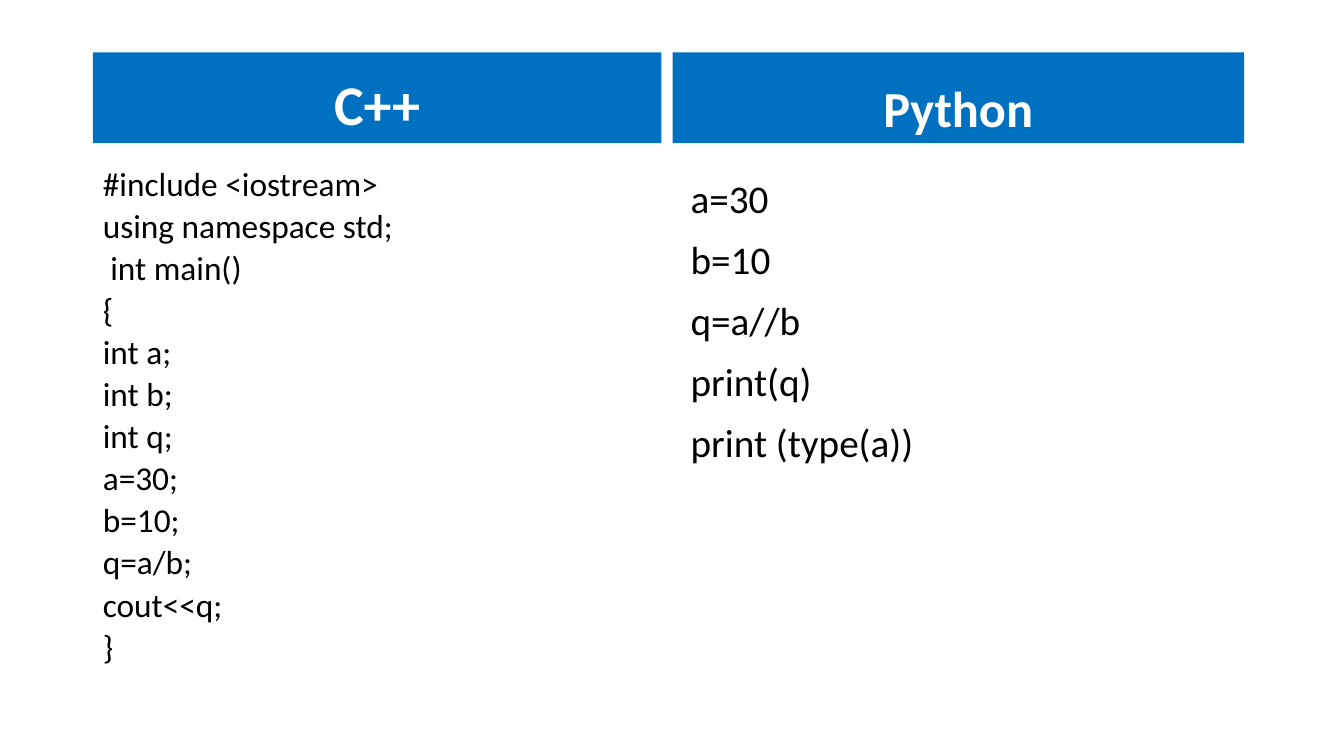
from lxml.etree import SubElement
from pptx import Presentation
from pptx.dml.color import RGBColor
from pptx.enum.text import MSO_ANCHOR, MSO_AUTO_SIZE, PP_ALIGN
from pptx.oxml.ns import qn
from pptx.util import Inches, Pt

HEADER_TOP, HEADER_HEIGHT = 0.52, 0.9
CODE_TOP, CODE_HEIGHT = 1.68, 5.09

CPP_CODE = [
    "#include <iostream>",
    "using namespace std;",
    " int main()",
    "{",
    "int a;",
    "int b;",
    "int q;",
    "a=30;",
    "b=10;",
    "q=a/b;",
    "cout<<q;",
    "}",
]
PYTHON_CODE = ["a=30", "b=10", "q=a//b", "print(q)", "print (type(a))"]


def color(hex_string):
    return RGBColor.from_string(hex_string)


def place(shape, left, top, width, height):
    shape.left, shape.top = Inches(left), Inches(top)
    shape.width, shape.height = Inches(width), Inches(height)


def remove_bullet(paragraph):
    properties = paragraph._p.get_or_add_pPr()
    properties.set("marL", "0")
    properties.set("indent", "0")
    SubElement(properties, qn("a:buNone"))


def write_lines(shape, lines, size, font_color, alignment, line_spacing, bold=False):
    frame = shape.text_frame
    frame.word_wrap = True
    frame.auto_size = MSO_AUTO_SIZE.NONE
    for index, line in enumerate(lines):
        paragraph = frame.add_paragraph() if index else frame.paragraphs[0]
        paragraph.alignment = alignment
        paragraph.line_spacing = line_spacing
        paragraph.space_before = Pt(10)
        remove_bullet(paragraph)
        run = paragraph.add_run()
        run.text = line
        run.font.name = "Calibri"
        run.font.size = Pt(size)
        run.font.bold = bold
        run.font.color.rgb = color(font_color)


def fill_header(shape, language, left, width, size):
    place(shape, left, HEADER_TOP, width, HEADER_HEIGHT)
    shape.fill.solid()
    shape.fill.fore_color.rgb = color("0070C0")
    shape.text_frame.vertical_anchor = MSO_ANCHOR.BOTTOM
    write_lines(shape, [language], size, "FFFFFF", PP_ALIGN.CENTER, 0.9, bold=True)


def fill_code(shape, lines, left, width, size, alignment, line_spacing):
    place(shape, left, CODE_TOP, width, CODE_HEIGHT)
    shape.text_frame.vertical_anchor = MSO_ANCHOR.TOP
    write_lines(shape, lines, size, "000000", alignment, line_spacing)


def main():
    presentation = Presentation()
    presentation.slide_width = Inches(13.33)
    presentation.slide_height = Inches(7.5)
    comparison_layout = presentation.slide_layouts.get_by_name("Comparison")
    slide = presentation.slides.add_slide(comparison_layout)

    empty_title, cpp_header, cpp_body, python_header, python_body = slide.placeholders
    empty_title.element.getparent().remove(empty_title.element)

    fill_header(cpp_header, "C++", 0.92, 5.64, 40)
    fill_code(cpp_body, CPP_CODE, 0.92, 5.64, 23.8, PP_ALIGN.LEFT, 0.7)
    fill_header(python_header, "Python", 6.67, 5.67, 36)
    fill_code(python_body, PYTHON_CODE, 6.75, 5.67, 28, PP_ALIGN.JUSTIFY, 1.0)

    presentation.save("out.pptx")


if __name__ == "__main__":
    main()
